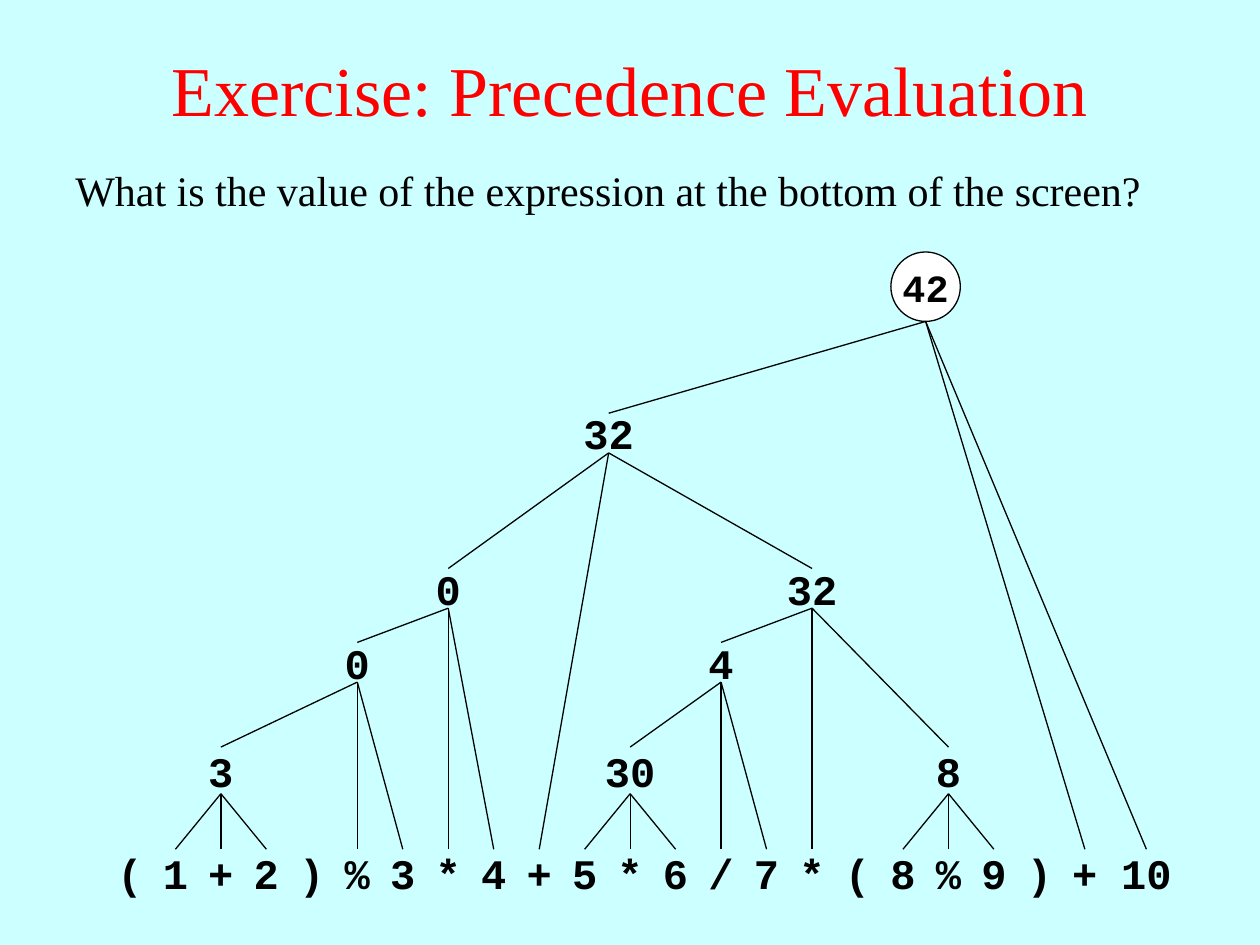
from dataclasses import dataclass
from typing import Optional, Union

from lxml import etree
from pptx import Presentation
from pptx.dml.color import RGBColor
from pptx.enum.shapes import MSO_CONNECTOR, MSO_SHAPE
from pptx.enum.text import MSO_ANCHOR, PP_ALIGN
from pptx.oxml.ns import qn
from pptx.util import Cm, Pt

RECTANGLE, ELLIPSE = MSO_SHAPE.RECTANGLE, MSO_SHAPE.OVAL
STRAIGHT = MSO_CONNECTOR.STRAIGHT
LEFT, CENTER = PP_ALIGN.LEFT, PP_ALIGN.CENTER
TOP, MIDDLE = MSO_ANCHOR.TOP, MSO_ANCHOR.MIDDLE

COLORS = {"background": "CCFFFF", "title": "FF0000", "ink": "000000", "result": "FFFFFF"}
SERIF, MONO = "Times New Roman", "Courier New"
LINE_WIDTH = Pt(0.75)

TOKENS = "( 1 + 2 ) % 3 * 4 + 5 * 6 / 7 * ( 8 % 9 ) + 10".split()
CELL_WIDTH, CELL_HEIGHT, NODE_HEIGHT = 0.86, 0.94, 0.8
RESULT_DIAMETER = 1.4
LAST_TOKEN_GAP = 1.24  # the two-digit operand needs a wider step


@dataclass
class Operation:
    """A partial result; operands are token indexes or other operations."""
    value: str
    left: Union[int, "Operation"]
    operator: int
    right: Union[int, "Operation"]
    top: float
    height: float = NODE_HEIGHT
    center: Optional[float] = None  # above the operator unless given


# Tops and centers are in cm, relative to the tree's box.
LOWEST, THIRD, SECOND, FIRST = 9.98, 7.87, 6.38, 3.25
SUM = Operation("3", 1, 2, 3, LOWEST, CELL_HEIGHT)
REMAINDER = Operation("0", SUM, 5, 6, THIRD)
LEFT_TERM = Operation("0", REMAINDER, 7, 8, SECOND)
PRODUCT = Operation("30", 10, 11, 12, LOWEST, CELL_HEIGHT)
QUOTIENT = Operation("4", PRODUCT, 13, 14, THIRD)
LAST_REMAINDER = Operation("8", 17, 18, 19, LOWEST, CELL_HEIGHT)
RIGHT_TERM = Operation("32", QUOTIENT, 15, LAST_REMAINDER, SECOND)
TERMS = Operation("32", LEFT_TERM, 9, RIGHT_TERM, FIRST, center=10.08)
RESULT = Operation("42", TERMS, 21, 22, 0, RESULT_DIAMETER, center=16.47)


def color(name):
    return RGBColor.from_string(COLORS[name])


def write(shape, text, font, size, ink="ink", bold=False, align=CENTER,
          anchor=MIDDLE, wrap=False, spacing=1.0):
    frame = shape.text_frame
    frame.word_wrap = wrap
    frame.vertical_anchor = anchor
    paragraph = frame.paragraphs[0]
    paragraph.text = text
    paragraph.alignment = align
    paragraph.line_spacing = spacing
    paragraph.font.name = font
    paragraph.font.size = Pt(size)
    paragraph.font.bold = bold
    paragraph.font.color.rgb = color(ink)


def add_value(shapes, text, center, top, height, result=False):
    """A number or symbol centered on a point; the final result is circled."""
    width = RESULT_DIAMETER if result else CELL_WIDTH
    shape = shapes.add_shape(ELLIPSE if result else RECTANGLE,
                             Cm(center - width / 2), Cm(top), Cm(width), Cm(height))
    shape.shadow.inherit = False
    shape.fill.solid()
    shape.fill.fore_color.rgb = color("result" if result else "background")
    if result:
        shape.line.color.rgb = color("ink")
        shape.line.width = LINE_WIDTH
    else:
        shape.line.fill.background()
    write(shape, text, MONO, 22 if result else 24, bold=True)


def add_branch(shapes, start, end):
    branch = shapes.add_connector(STRAIGHT, *map(Cm, start + end))
    branch.line.color.rgb = color("ink")
    branch.line.width = LINE_WIDTH
    etree.SubElement(branch._element.spPr, qn("a:effectLst"))


def add_heading(slide, left, top, width):
    title = slide.shapes.add_textbox(Cm(left), Cm(top), Cm(width), Cm(3.18))
    write(title, "Exercise: Precedence Evaluation", SERIF, 40, ink="title", wrap=True)
    question = slide.shapes.add_textbox(Cm(left + 1.27), Cm(top + 3.1),
                                        Cm(width - 2.54), Cm(1.17))
    write(question, "What is the value of the expression at the bottom of the screen?",
          SERIF, 24, align=LEFT, anchor=TOP, wrap=True, spacing=0.9)


def add_tree(slide, left, top, width, height):
    """The expression along the bottom of the box, its evaluation above it."""
    tokens_top = top + height - CELL_HEIGHT
    first = left + CELL_WIDTH / 2
    last = left + width - CELL_WIDTH / 2
    step = (last - LAST_TOKEN_GAP - first) / (len(TOKENS) - 2)
    centers = [first + i * step for i in range(len(TOKENS) - 1)] + [last]

    for token, center in zip(TOKENS, centers):
        add_value(slide.shapes, token, center, tokens_top, CELL_HEIGHT)

    def add_operand(operand):
        """Draws an operation after its operands; returns the point its branch meets."""
        if isinstance(operand, int):
            return centers[operand], tokens_top
        parts = (operand.left, operand.operator, operand.right)
        ends = [add_operand(part) for part in parts]
        center = centers[operand.operator] if operand.center is None else left + operand.center
        node_top = top + operand.top
        group = slide.shapes.add_group_shape()
        add_value(group.shapes, operand.value, center, node_top, operand.height,
                  result=operand is RESULT)
        for end in ends:
            add_branch(group.shapes, (center, node_top + operand.height), end)
        return center, node_top

    add_operand(RESULT)


def main():
    presentation = Presentation()
    presentation.slide_width, presentation.slide_height = Cm(25.4), Cm(19.05)
    slide = presentation.slides.add_slide(presentation.slide_layouts[6])
    slide.background.fill.solid()
    slide.background.fill.fore_color.rgb = color("background")
    add_heading(slide, left=0, top=0.2, width=25.4)
    add_tree(slide, left=2.19, top=5.08, width=21.35, height=12.98)
    presentation.save("out.pptx")


if __name__ == "__main__":
    main()
